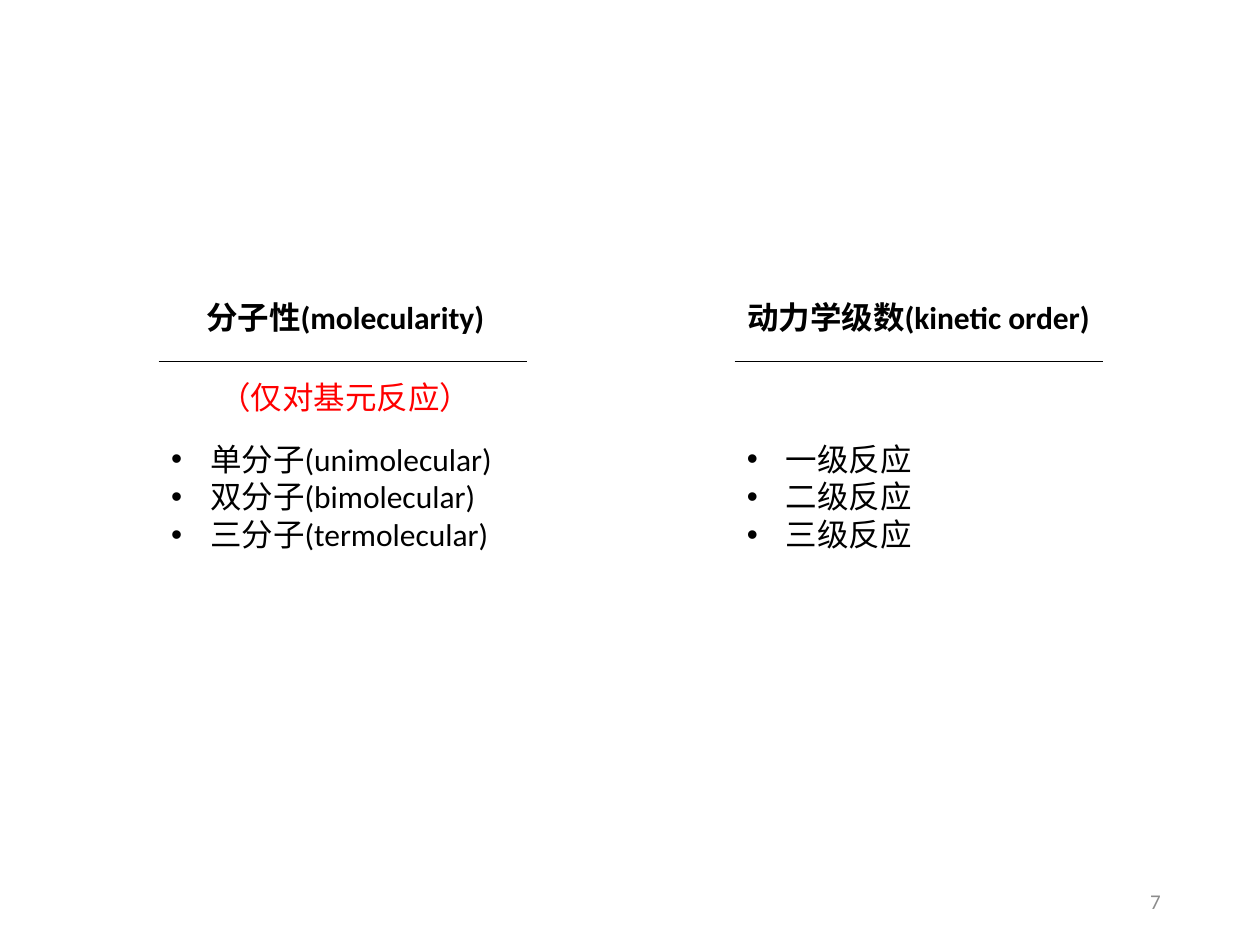
from dataclasses import dataclass

from lxml import etree
from pptx import Presentation
from pptx import util as u
from pptx.dml.color import RGBColor
from pptx.enum import shapes, text
from pptx.oxml import ns


@dataclass(frozen=True)
class Theme:
    font: str = "Calibri"
    ink: str = "000000"
    accent: str = "FF0000"
    muted: str = "8C8C8C"
    body: int = 18
    small: int = 12


theme = Theme()
deck = Presentation()
deck.slide_width, deck.slide_height = u.Inches(10), u.Inches(7.5)
page = deck.slides.add_slide(deck.slide_layouts[6])


def add_text(left, top, width, height, lines, align=text.PP_ALIGN.CENTER,
             color=theme.ink, size=theme.body, bold=False, bullet=False):
    """Add a text box with one paragraph per line and return its frame."""
    box = page.shapes.add_textbox(u.Inches(left), u.Inches(top),
                                  u.Inches(width), u.Inches(height))
    frame = box.text_frame
    frame.word_wrap = True
    for index, line in enumerate(lines):
        para = frame.paragraphs[0] if index == 0 else frame.add_paragraph()
        para.alignment = align
        if bullet:
            props = para._p.get_or_add_pPr()
            indent = u.Inches(0.31)
            props.set("marL", str(indent))
            props.set("indent", str(-indent))
            etree.SubElement(props, ns.qn("a:buFont"), typeface="Arial")
            etree.SubElement(props, ns.qn("a:buChar"), char="•")
        span = para.add_run()
        span.text = line
        span.font.name = theme.font
        span.font.size = u.Pt(size)
        span.font.bold = bold
        span.font.color.rgb = RGBColor.from_string(color)
    return frame


columns = [
    (1.12, 1.26, "分子性(molecularity)",
     ["单分子(unimolecular)", "双分子(bimolecular)", "三分子(termolecular)"]),
    (5.67, 5.83, "动力学级数(kinetic order)",
     ["一级反应", "二级反应", "三级反应"]),
]
column_width, rule_width, rule_top = 3.24, 2.92, 2.87

for heading_left, list_left, heading, items in columns:
    add_text(heading_left, 2.32, column_width, 0.4, [heading], bold=True)
    rule = page.shapes.add_connector(
        shapes.MSO_CONNECTOR.STRAIGHT, u.Inches(list_left), u.Inches(rule_top),
        u.Inches(list_left + rule_width), u.Inches(rule_top))
    rule.line.color.rgb = RGBColor.from_string(theme.ink)
    rule.line.width = u.Pt(0.5)
    etree.SubElement(rule._element.spPr, ns.qn("a:effectLst"))
    add_text(list_left, 3.44, column_width, 1.01, items,
             align=text.PP_ALIGN.LEFT, bullet=True)

add_text(columns[0][0], 2.95, column_width, 0.4, ["（仅对基元反应）"],
         color=theme.accent)

page_number = add_text(7.06, 6.95, 2.25, 0.4, ["7"], align=text.PP_ALIGN.RIGHT,
                       color=theme.muted, size=theme.small)
page_number.vertical_anchor = text.MSO_ANCHOR.MIDDLE

deck.save("out.pptx")
